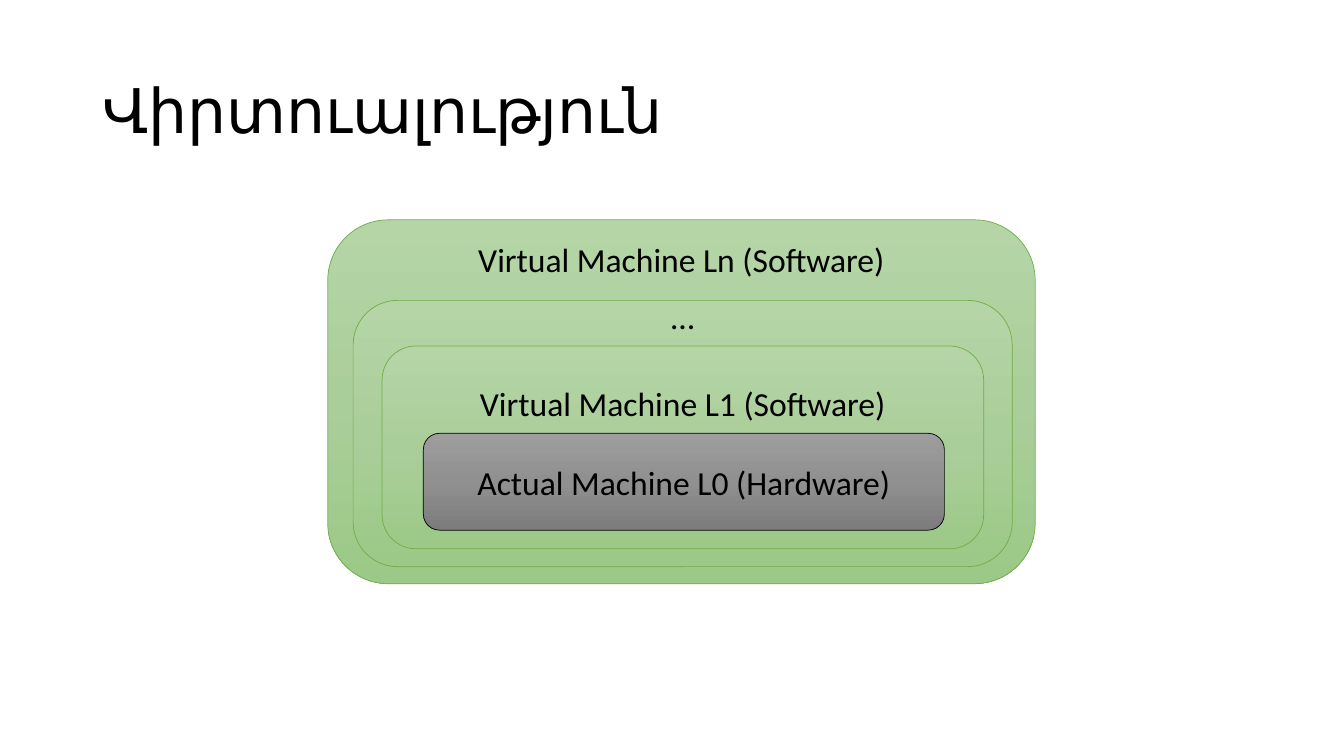
from copy import deepcopy

from pptx import Presentation
from pptx.dml.color import RGBColor
from pptx.enum.shapes import MSO_SHAPE
from pptx.enum.text import MSO_ANCHOR, PP_ALIGN
from pptx.oxml.ns import qn
from pptx.util import Cm, Pt

GREEN = {"stops": ("B5D5A7", "AACE9A", "9CC987"), "line": "70AD47"}
GRAY = {"stops": ("9D9D9D", "909090", "7C7C7C"), "line": "000000"}

# Label, offset and size within the diagram box, space under the label, colours (cm)
LAYERS = [
    ("Virtual Machine Ln (Software)", (0, 0, 17.83, 9.17), 7.2, GREEN),
    ("…", (0.64, 2.03, 16.61, 6.71), 5.9, GREEN),
    ("Virtual Machine L1 (Software)", (1.37, 3.18, 15.16, 5.11), 2.24, GREEN),
    ("Actual Machine L0 (Hardware)", (2.41, 5.38, 13.13, 2.44), 0, GRAY),
]


def color(value):
    """Turn a hex string into a colour."""
    return RGBColor.from_string(value)


def set_all(target, values):
    """Set every attribute named in the dict."""
    for name, value in values.items():
        setattr(target, name, value)


def write(shape, text, size, frame_format, para_format):
    """Put one formatted line of text into a shape."""
    frame = shape.text_frame
    set_all(frame, {"word_wrap": True, "vertical_anchor": MSO_ANCHOR.MIDDLE, **frame_format})
    para = frame.paragraphs[0]
    set_all(para, para_format)
    span = para.add_run()
    span.text = text
    set_all(span.font, {"name": "Calibri", "size": Pt(size)})
    span.font.color.rgb = color("000000")


def shade(shape, stops):
    """Fill a shape with a three-stop gradient from top to bottom."""
    shape.fill.gradient()
    shape.fill.gradient_angle = 270
    stop_list = shape._element.spPr.find(qn("a:gradFill")).find(qn("a:gsLst"))
    stop_list.insert(1, deepcopy(stop_list[0]))
    for index, (stop, value) in enumerate(zip(shape.fill.gradient_stops, stops)):
        stop.position = index / 2
        stop.color.rgb = color(value)


def add_title(page, box, text):
    """Place the slide title in its box."""
    title = page.shapes.add_textbox(*map(Cm, box))
    write(title, text, 44, {}, {"line_spacing": 0.9})


def add_layers(page, box, layers):
    """Nest the machine layers inside the box, outermost first."""
    left, top = box
    diagram = page.shapes.add_group_shape()
    for label, (x, y, width, height), space_below, style in layers:
        layer = diagram.shapes.add_shape(
            MSO_SHAPE.ROUNDED_RECTANGLE, Cm(left + x), Cm(top + y), Cm(width), Cm(height))
        layer.shadow.inherit = False
        shade(layer, style["stops"])
        layer.line.color.rgb = color(style["line"])
        layer.line.width = Pt(0.5)
        write(layer, label, 24, {"margin_top": 0, "margin_bottom": Cm(space_below)},
              {"alignment": PP_ALIGN.CENTER})


def build():
    """Build the virtualization slide and save the deck."""
    deck = Presentation()
    set_all(deck, {"slide_width": Cm(33.87), "slide_height": Cm(19.05)})
    page = deck.slides.add_slide(deck.slide_layouts[6])
    add_title(page, (2.33, 1.01, 29.21, 3.68), "Վիրտուալություն")
    add_layers(page, (8.26, 5.54), LAYERS)
    deck.save("out.pptx")


build()
